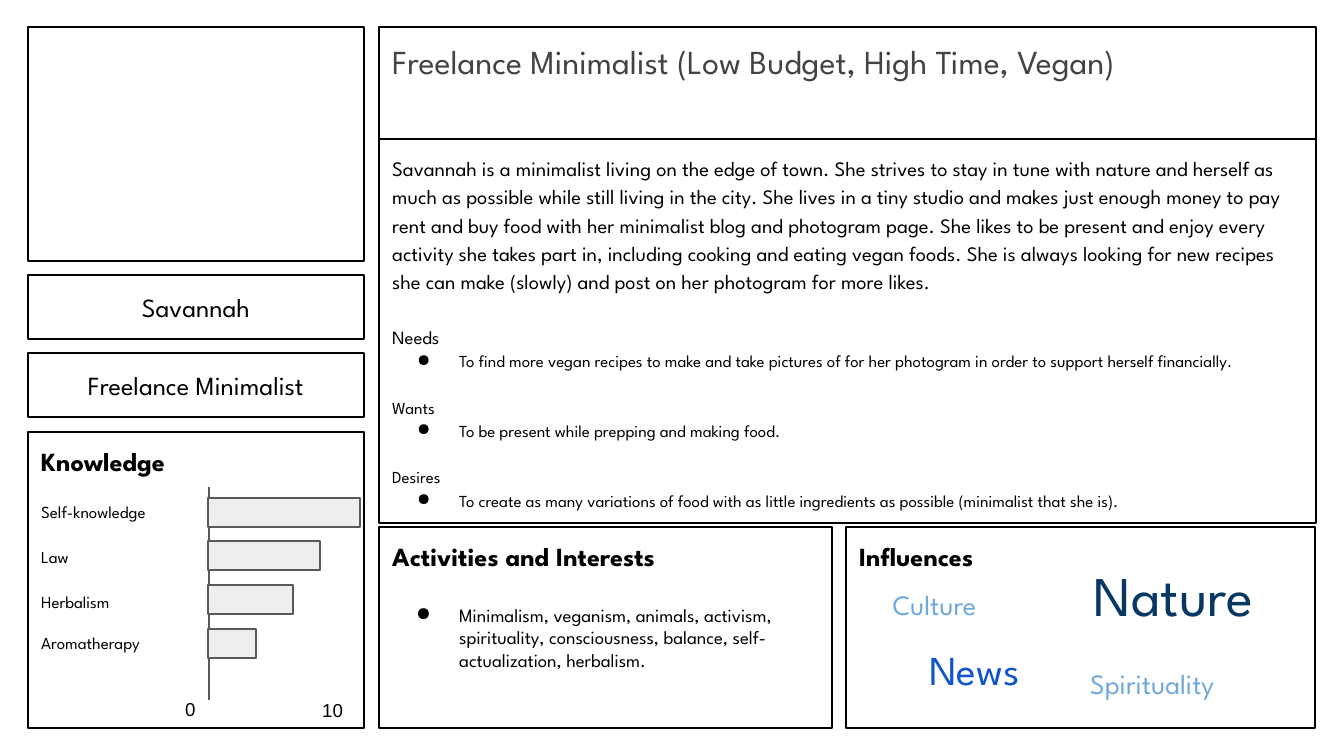
import pptx
import pptx.util
import pptx.dml.color
import pptx.enum.shapes
import pptx.enum.text
import pptx.oxml.ns
from lxml import etree

Pt = pptx.util.Pt
RGB = pptx.dml.color.RGBColor
ALIGN = pptx.enum.text.PP_ALIGN
ANCHOR = pptx.enum.text.MSO_ANCHOR
RECT = pptx.enum.shapes.MSO_SHAPE.RECTANGLE
qn = pptx.oxml.ns.qn

BLACK = RGB(0x00, 0x00, 0x00)
TITLE_GRAY = RGB(0x43, 0x43, 0x43)
AXIS_GRAY = RGB(0x59, 0x59, 0x59)
BAR_GRAY = RGB(0xEE, 0xEE, 0xEE)
NAVY = RGB(0x07, 0x37, 0x63)
BLUE = RGB(0x11, 0x55, 0xCC)
SKY = RGB(0x6F, 0xA8, 0xDC)
FONT = "League Spartan"

STORY = (
    "Savannah is a minimalist living on the edge of town. She strives to stay in tune with "
    "nature and herself as much as possible while still living in the city. She lives in a tiny "
    "studio and makes just enough money to pay rent and buy food with her minimalist blog and "
    "photogram page. She likes to be present and enjoy every activity she takes part in, "
    "including cooking and eating vegan foods. She is always looking for new recipes she can "
    "make (slowly) and post on her photogram for more likes."
)
PERSONA = [
    {"text": STORY, "size": 11},
    {"text": "Needs", "size": 10, "before": 15.2},
    {"text": "To find more vegan recipes to make and take pictures of for her photogram in order "
             "to support herself financially.", "size": 9, "hang": 42},
    {"text": "Wants", "size": 9, "before": 12.4},
    {"text": "To be present while prepping and making food.", "size": 9, "hang": 42},
    {"text": "Desires", "size": 9, "before": 12.4},
    {"text": "To create as many variations of food with as little ingredients as possible "
             "(minimalist that she is).", "size": 9, "hang": 42},
]
ACTIVITIES = [
    {"text": "Activities and Interests", "size": 14, "bold": True},
    {"text": "Minimalism, veganism, animals, activism, spirituality, consciousness, balance, "
             "self-actualization, herbalism.", "size": 10, "hang": 43, "before": 17},
]
KNOWLEDGE = [
    {"text": "Knowledge", "size": 14, "bold": True},
    {"text": "Self-knowledge", "size": 9, "before": 13.3},
    {"text": "Law", "size": 9, "before": 13.3},
    {"text": "Herbalism", "size": 9, "before": 13.3},
    {"text": "Aromatherapy", "size": 9, "before": 10.9},
]
TITLE = [{"text": "Freelance Minimalist (Low Budget, High Time, Vegan)",
          "size": 18, "color": TITLE_GRAY}]
INFLUENCES = [{"text": "Influences", "size": 14, "bold": True}]
NAME = [{"text": "Savannah", "size": 14}]
ROLE = [{"text": "Freelance Minimalist", "size": 14}]

CENTER = {"align": ALIGN.CENTER, "anchor": ANCHOR.MIDDLE}
MIDDLE = {"anchor": ANCHOR.MIDDLE}
PANELS = [
    ((28, 27, 336, 234), [], {}),
    ((379, 139, 937, 384), PERSONA, {"spacing": 1.15}),
    ((379, 27, 937, 112), TITLE, {}),
    ((379, 527, 453, 201), ACTIVITIES, {}),
    ((846, 527, 469, 201), INFLUENCES, {}),
    ((28, 353, 336, 64), ROLE, CENTER),
    ((28, 275, 336, 64), NAME, CENTER),
    ((28, 432, 336, 296), KNOWLEDGE, {}),
]
LABELS = [
    ((1031, 534, 285, 120), {"text": "Nature", "size": 30, "color": NAVY}, CENTER),
    ((792, 573, 285, 63), {"text": "Culture", "size": 15, "color": SKY}, CENTER),
    ((1077, 652, 231, 63), {"text": "Spirituality", "size": 15, "color": SKY}, MIDDLE),
    ((832, 640, 285, 59), {"text": "News", "size": 22, "color": BLUE}, CENTER),
    ((172, 687, 43, 59), {"text": "0", "size": 10, "font": "Arial"}, {}),
    ((309, 688, 60, 59), {"text": "10", "size": 10, "font": "Arial"}, {}),
]
AXIS = (209, 487, 209, 700)
BAR_WIDTHS = [152, 112, 85, 48]
BAR_LEFT, BAR_TOP, BAR_HEIGHT, BAR_SPAN = 208, 498, 29, 131
BULLET_INDENT = 67
INSET = Pt(7.2)

SCALE = 9144000 / 1344


def px(*values):
    return [round(v * SCALE) for v in values]


def add_bullet(p, hang):
    pPr = p._p.get_or_add_pPr()
    margin, indent = px(BULLET_INDENT, -hang)
    pPr.set("marL", str(margin))
    pPr.set("indent", str(indent))
    color = etree.SubElement(pPr, qn("a:buClr"))
    etree.SubElement(color, qn("a:srgbClr"), val=str(BLACK))
    etree.SubElement(pPr, qn("a:buChar"), char="●")


def write(s, paragraphs, align=ALIGN.LEFT, anchor=ANCHOR.TOP, spacing=1.0):
    tf = s.text_frame
    frame = {"word_wrap": True, "vertical_anchor": anchor, "margin_left": INSET,
             "margin_right": INSET, "margin_top": INSET, "margin_bottom": INSET}
    for key, value in frame.items():
        setattr(tf, key, value)
    for i, item in enumerate(paragraphs):
        p = tf.add_paragraph() if i else tf.paragraphs[0]
        layout = {"alignment": align, "line_spacing": spacing,
                  "space_before": Pt(item.get("before", 0))}
        for key, value in layout.items():
            setattr(p, key, value)
        if "hang" in item:
            add_bullet(p, item["hang"])
        r = p.add_run()
        r.text = item["text"]
        style = {"name": item.get("font", FONT), "size": Pt(item["size"]),
                 "bold": item.get("bold", False)}
        for key, value in style.items():
            setattr(r.font, key, value)
        r.font.color.rgb = item.get("color", BLACK)


def set_line(s, color):
    s.line.color.rgb = color
    s.line.width = Pt(0.75)


def add_box(slide, box, line, fill=None):
    s = slide.shapes.add_shape(RECT, *px(*box))
    s.shadow.inherit = False
    if fill is None:
        s.fill.background()
    else:
        s.fill.solid()
        s.fill.fore_color.rgb = fill
    set_line(s, line)
    return s


def main():
    prs = pptx.Presentation()
    prs.slide_width, prs.slide_height = px(1344, 756)
    slide = prs.slides.add_slide(prs.slide_layouts[6])

    for box, paragraphs, layout in PANELS:
        write(add_box(slide, box, BLACK), paragraphs, **layout)

    axis = slide.shapes.add_connector(pptx.enum.shapes.MSO_CONNECTOR.STRAIGHT, *px(*AXIS))
    set_line(axis, AXIS_GRAY)
    etree.SubElement(axis._element.spPr, qn("a:effectLst"))

    for i, width in enumerate(BAR_WIDTHS):
        top = BAR_TOP + BAR_SPAN * i // (len(BAR_WIDTHS) - 1)
        add_box(slide, (BAR_LEFT, top, width, BAR_HEIGHT), AXIS_GRAY, BAR_GRAY)

    for box, label, layout in LABELS:
        write(slide.shapes.add_textbox(*px(*box)), [label], **layout)

    prs.save("out.pptx")


if __name__ == "__main__":
    main()
